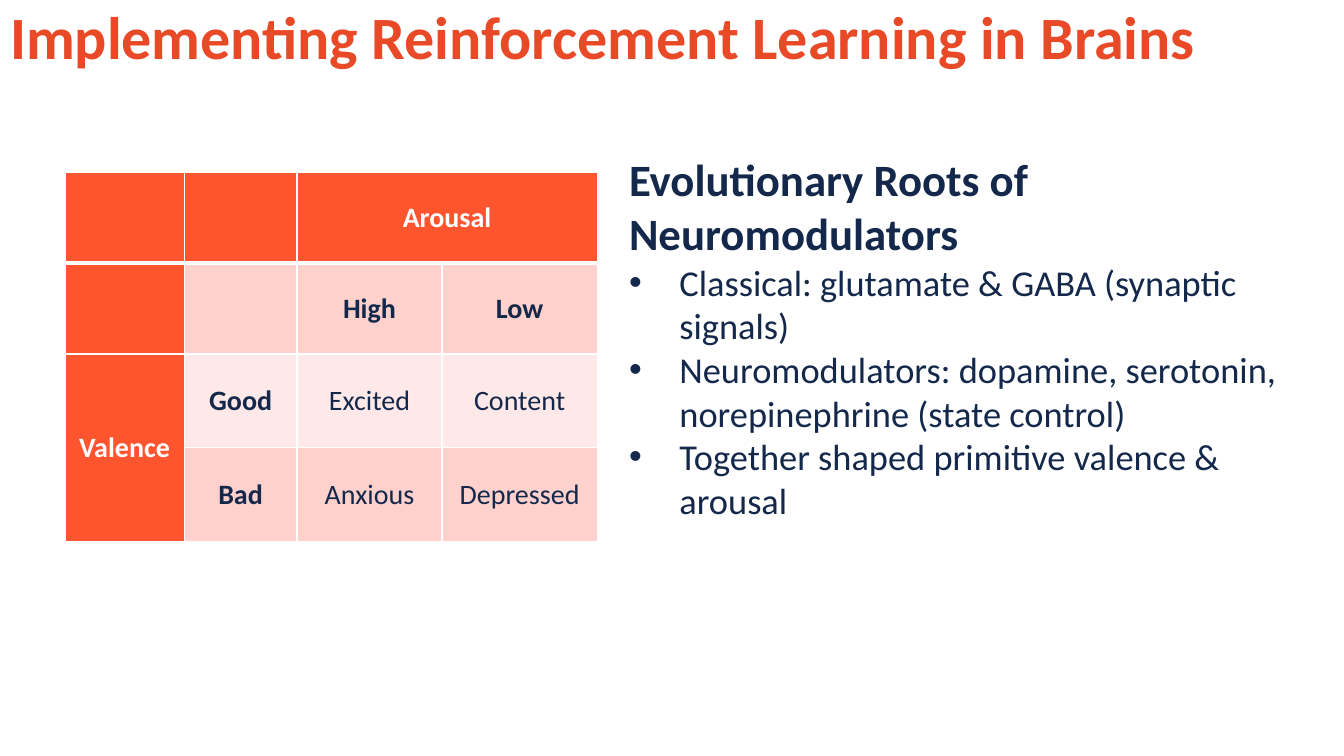
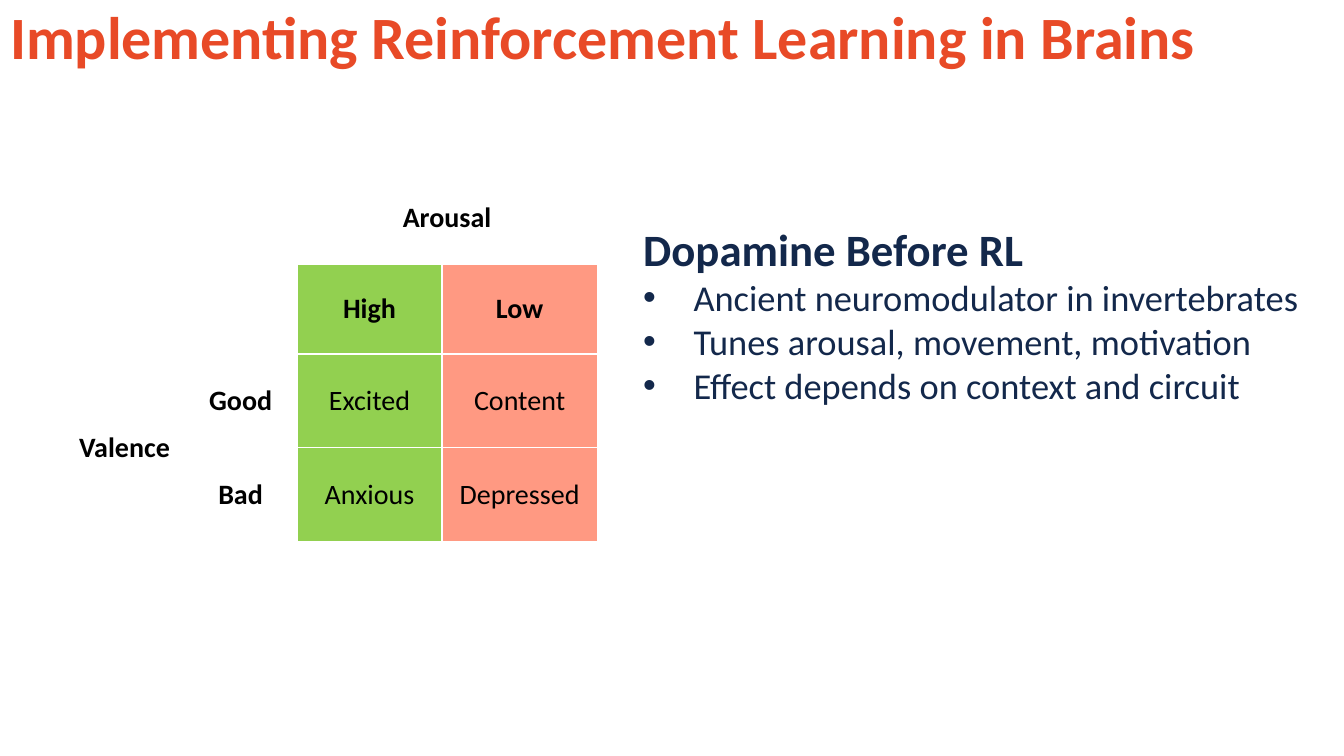
from dataclasses import dataclass
from typing import Optional

import pptx
import pptx.dml.color
import pptx.enum.text
import pptx.oxml
import pptx.oxml.ns
import pptx.util

Pt = pptx.util.Pt
RGBColor = pptx.dml.color.RGBColor
MSO_ANCHOR = pptx.enum.text.MSO_ANCHOR
MSO_AUTO_SIZE = pptx.enum.text.MSO_AUTO_SIZE
PP_ALIGN = pptx.enum.text.PP_ALIGN

TITLE_ORANGE = RGBColor(0xE8, 0x4A, 0x27)
NAVY = RGBColor(0x13, 0x28, 0x4B)
BLACK = RGBColor(0x00, 0x00, 0x00)
WHITE = RGBColor(0xFF, 0xFF, 0xFF)
ORANGE = RGBColor(0xFF, 0x55, 0x2E)
PINK = RGBColor(0xFF, 0xD1, 0xCD)
PALE_PINK = RGBColor(0xFF, 0xE9, 0xE8)
GREEN = RGBColor(0x92, 0xD0, 0x50)
SALMON = RGBColor(0xFF, 0x99, 0x82)

FONT = "Calibri"
TITLE = "Implementing Reinforcement Learning in Brains"
BULLET_INDENT = Pt(36)
TABLE_LEFT, TABLE_TOP = 46.4, 123.2
COL_WIDTHS = (85.2, 80.6, 103.6, 110.8)
ROW_HEIGHTS = (64.8, 64.8, 67, 67)
MOODS = (
    ("", "", "Arousal", ""),
    ("", "", "High", "Low"),
    ("Valence", "Good", "Excited", "Content"),
    ("", "Bad", "Anxious", "Depressed"),
)

Fill = Optional[RGBColor]


@dataclass(frozen=True)
class Box:
    left: float
    top: float
    width: float
    height: float


@dataclass(frozen=True)
class MoodSlide:
    heading: str
    bullets: tuple[str, ...]
    body: Box
    fills: tuple[tuple[Fill, ...], ...]
    text_color: RGBColor


TITLE_BOX = Box(0, 0, 904.3, 57.6)
HIGH_LOW = (None, None, GREEN, SALMON)
SLIDES = (
    MoodSlide(
        "Evolutionary Roots of Neuromodulators",
        (
            "Classical: glutamate & GABA (synaptic signals)",
            "Neuromodulators: dopamine, serotonin, norepinephrine (state control)",
            "Together shaped primitive valence & arousal",
        ),
        Box(442.1, 105.1, 499, 273.6),
        ((ORANGE,) * 4,) + tuple((ORANGE,) + (c,) * 3 for c in (PINK, PALE_PINK, PINK)),
        NAVY,
    ),
    MoodSlide(
        "Dopamine Before RL",
        (
            "Ancient neuromodulator in invertebrates",
            "Tunes arousal, movement, motivation",
            "Effect depends on context and circuit",
        ),
        Box(452.2, 154.8, 513.4, 140.4),
        ((None,) * 4,) + (HIGH_LOW,) * 3,
        BLACK,
    ),
)


def place(sp, box: Box) -> None:
    sp.left, sp.top = Pt(box.left), Pt(box.top)
    sp.width, sp.height = Pt(box.width), Pt(box.height)


def style_runs(p, size: float, color: RGBColor, bold: bool) -> None:
    for r in p.runs:
        r.font.name = FONT
        r.font.size = Pt(size)
        r.font.bold = bold
        r.font.color.rgb = color


def add_dml(parent, xml: str) -> None:
    """Append a DrawingML element, given without its namespace declaration."""
    tag, rest = xml.split(" ", 1)
    parent.append(pptx.oxml.parse_xml(f"{tag} {pptx.oxml.ns.nsdecls('a')} {rest}"))


def set_bullet(p, bulleted: bool) -> None:
    pPr = p._p.get_or_add_pPr()
    indent = BULLET_INDENT if bulleted else 0
    pPr.set("marL", str(indent))
    pPr.set("indent", str(-indent))
    if bulleted:
        add_dml(pPr, '<a:buFont typeface="Arial"/>')
        add_dml(pPr, '<a:buChar char="•"/>')
    else:
        add_dml(pPr, "<a:buNone />")


def fill_title(sp) -> None:
    place(sp, TITLE_BOX)
    tf = sp.text_frame
    tf.text = TITLE
    tf.auto_size = MSO_AUTO_SIZE.NONE
    tf.vertical_anchor = MSO_ANCHOR.MIDDLE
    p = tf.paragraphs[0]
    p.alignment = PP_ALIGN.LEFT
    p.line_spacing = 0.9
    style_runs(p, 42.9, TITLE_ORANGE, True)


def fill_body(sp, content: MoodSlide) -> None:
    place(sp, content.body)
    tf = sp.text_frame
    tf.text = "\n".join((content.heading, *content.bullets))
    tf.word_wrap = True
    tf.auto_size = MSO_AUTO_SIZE.SHAPE_TO_FIT_TEXT
    for i, p in enumerate(tf.paragraphs):
        is_heading = i == 0
        p.space_before = Pt(0)
        set_bullet(p, not is_heading)
        style_runs(p, 32 if is_heading else 26, NAVY, is_heading)


def set_borders(cell, row: int) -> None:
    """Draw white cell borders, thicker below the header row."""
    widths = {"L": 1, "R": 1, "T": 3 if row == 1 else 1, "B": 3 if row == 0 else 1}
    for side, width in widths.items():
        add_dml(
            cell._tc.get_or_add_tcPr(),
            f'<a:ln{side} w="{Pt(width)}"><a:solidFill><a:srgbClr val="{WHITE}"/>'
            f"</a:solidFill></a:ln{side}>",
        )


def add_mood_table(slide, content: MoodSlide) -> None:
    frame = slide.shapes.add_table(
        len(ROW_HEIGHTS), len(COL_WIDTHS), Pt(TABLE_LEFT), Pt(TABLE_TOP),
        Pt(sum(COL_WIDTHS)), Pt(sum(ROW_HEIGHTS)),
    )
    table = frame.table
    table.first_row = table.horz_banding = False
    for column, width in zip(table.columns, COL_WIDTHS):
        column.width = Pt(width)
    for row, height in zip(table.rows, ROW_HEIGHTS):
        row.height = Pt(height)
    table.cell(0, 2).merge(table.cell(0, 3))
    table.cell(2, 0).merge(table.cell(3, 0))

    for i, texts in enumerate(MOODS):
        for j, text in enumerate(texts):
            cell, fill = table.cell(i, j), content.fills[i][j]
            set_borders(cell, i)
            if fill is None:
                cell.fill.background()
            else:
                cell.fill.solid()
                cell.fill.fore_color.rgb = fill
            if text:
                cell.text_frame.text = text
                cell.vertical_anchor = MSO_ANCHOR.MIDDLE
                p = cell.text_frame.paragraphs[0]
                p.alignment = PP_ALIGN.CENTER
                color = WHITE if fill == ORANGE else content.text_color
                style_runs(p, 20, color, i < 2 or j < 2)


def main() -> None:
    prs = pptx.Presentation()
    prs.slide_width, prs.slide_height = Pt(960), Pt(540)
    for content in SLIDES:
        slide = prs.slides.add_slide(prs.slide_layouts[1])
        fill_title(slide.shapes.title)
        fill_body(slide.placeholders[1], content)
        add_mood_table(slide, content)
    prs.save("out.pptx")


if __name__ == "__main__":
    main()
